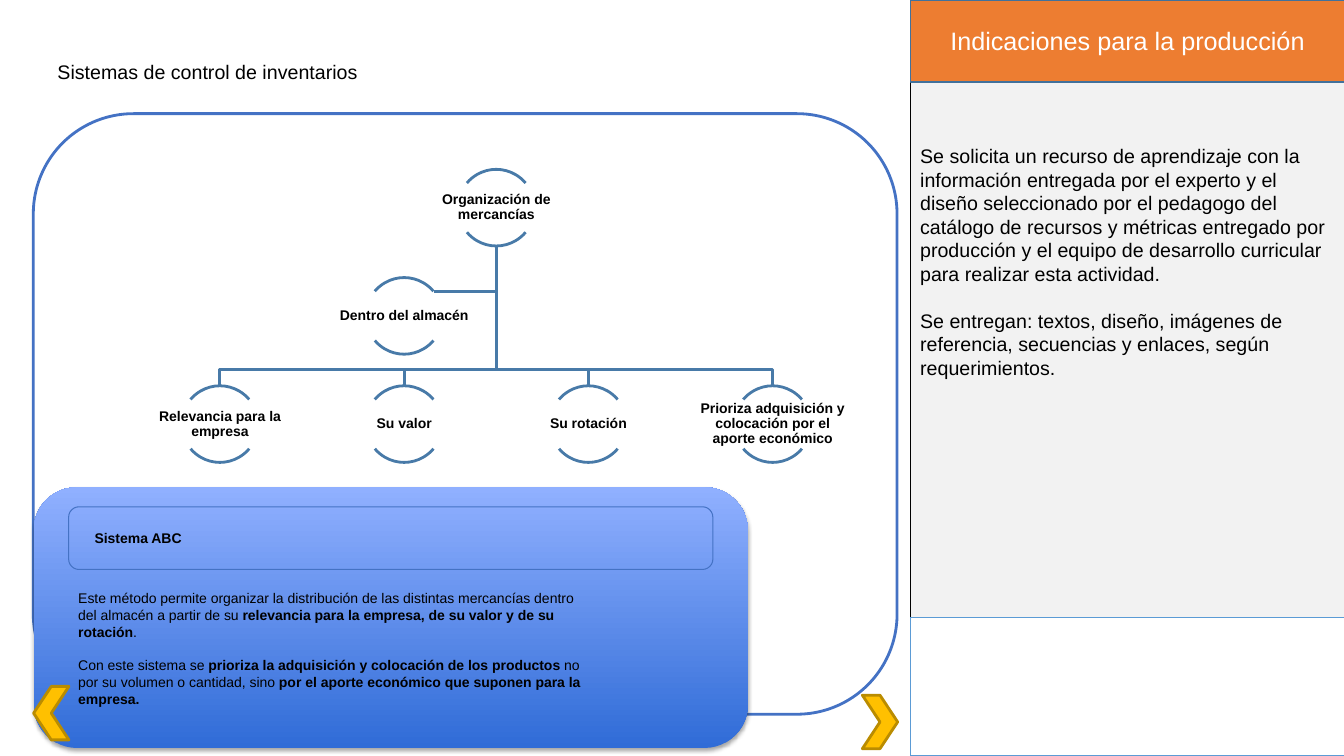
"""Builds the inventory control slide with its ABC system chart and production notes."""
from dataclasses import dataclass

from lxml import etree
from pptx import Presentation, util as u
from pptx.dml.color import RGBColor
from pptx.enum import shapes, text
from pptx.oxml.ns import qn

Pt = u.Pt
Kind = shapes.MSO_SHAPE
Align = text.PP_ALIGN
Anchor = text.MSO_ANCHOR


@dataclass(frozen=True)
class Theme:
    """Colours, font and type sizes of the slide."""
    font: str = "Arial"
    heading: int = 18
    body: int = 14
    small: int = 10
    ink: str = "000000"
    paper: str = "FFFFFF"
    panel: str = "F2F2F2"
    banner: str = "ED7D31"
    banner_edge: str = "42719B"
    footer_edge: str = "5B9BD5"
    frame: str = "4472C4"
    card_low: str = "306CD7"
    card_high: str = "90B0FF"
    arrow: str = "FFC000"
    arrow_edge: str = "BA8C00"
    tree: str = "487AA8"


class Board:
    """Holds the theme and the slide, and draws each kind of element."""

    def __init__(self, slide, theme):
        """Keep the slide and its theme."""
        self.slide, self.theme = slide, theme

    def outline(self, item, line):
        """Set the line of a shape from a colour and width, or remove it."""
        if line is None:
            item.line.fill.background()
        else:
            item.line.color.rgb = RGBColor.from_string(line[0])
            item.line.width = Pt(line[1])
        item.shadow.inherit = False

    def shape(self, kind, box, fill=None, line=None, adjust=(), turn=0):
        """Draw a preset shape."""
        item = self.slide.shapes.add_shape(kind, *map(Pt, box))
        for index, value in enumerate(adjust):
            item.adjustments[index] = value
        item.rotation = turn
        if fill is None:
            item.fill.background()
        else:
            item.fill.solid()
            item.fill.fore_color.rgb = RGBColor.from_string(fill)
        self.outline(item, line)
        return item

    def card(self, box):
        """Draw the rounded card with its gradient and soft shadow."""
        item = self.shape(Kind.ROUNDED_RECTANGLE, box)
        item.fill.gradient()
        item.fill.gradient_angle = 90
        colours = (self.theme.card_low, self.theme.card_high)
        for place, (stop, colour) in enumerate(zip(item.fill.gradient_stops, colours)):
            stop.position = place
            stop.color.rgb = RGBColor.from_string(colour)
        effects = item.element.spPr.find(qn("a:effectLst"))
        shade = etree.SubElement(effects, qn("a:outerShdw"), blurRad=str(Pt(3.1)),
                                 dist=str(Pt(1.8)), dir="5400000", rotWithShape="0")
        colour = etree.SubElement(shade, qn("a:srgbClr"), val=self.theme.ink)
        etree.SubElement(colour, qn("a:alpha"), val="35000")

    def fill_text(self, frame, paragraphs, size, colour=None, align=Align.LEFT, gap=0,
                  spacing=None):
        """Fill a text frame with paragraphs made of (words, bold) runs."""
        for index, runs in enumerate(paragraphs):
            paragraph = frame.add_paragraph() if index else frame.paragraphs[0]
            paragraph.alignment = align
            if spacing:
                paragraph.line_spacing = spacing
            if index:
                paragraph.space_before = Pt(gap)
            for words, bold in runs:
                run = paragraph.add_run()
                run.text = words
                run.font.name, run.font.size, run.font.bold = self.theme.font, Pt(size), bold
                run.font.color.rgb = RGBColor.from_string(colour or self.theme.ink)

    def text(self, box, paragraphs, size, wrap=True, anchor=Anchor.TOP, inset=None, **style):
        """Add a text box."""
        frame = self.slide.shapes.add_textbox(*map(Pt, box)).text_frame
        frame.word_wrap, frame.vertical_anchor = wrap, anchor
        if inset is not None:
            frame.margin_left = frame.margin_right = Pt(inset)
            frame.margin_top = frame.margin_bottom = Pt(inset)
        self.fill_text(frame, paragraphs, size, **style)

    def branch(self, points):
        """Draw an open line through the points."""
        start, *rest = [(Pt(x), Pt(y)) for x, y in points]
        builder = self.slide.shapes.build_freeform(*start)
        builder.add_line_segments(rest, close=False)
        item = builder.convert_to_shape()
        item.fill.background()
        self.outline(item, (self.theme.tree, 2))

    def node(self, centre, top, words):
        """Draw a tree node: two arcs around a centred label."""
        size, width, height = 54.7, 108.7, 34.6
        for angles in ((132, 192), (24, 84)):
            self.shape(Kind.ARC, (centre - size / 2, top, size, size),
                       line=(self.theme.tree, 2), adjust=angles)
        label = (centre - width / 2, top + (size - height) / 2, width, height)
        self.text(label, [[(words, True)]], self.theme.small, anchor=Anchor.MIDDLE,
                  inset=0.7, align=Align.CENTER, spacing=0.9)


def draw_notes(board):
    """Draw the production notes on the right."""
    theme = board.theme
    left, width = 650.2, 310.3
    board.shape(Kind.RECTANGLE, (left, 0, width, 540), theme.panel, (theme.ink, 1))
    board.text((left, 99.4, 311.8, 237.6), [
        [("Se solicita un recurso de aprendizaje con la información entregada por el experto "
          "y el diseño seleccionado por el pedagogo del catálogo de recursos y métricas "
          "entregado por producción y el equipo de desarrollo curricular para realizar "
          "esta actividad.", False)],
        [("Se entregan: textos, diseño, imágenes de referencia, secuencias y enlaces, "
          "según requerimientos.", False)],
    ], theme.body, gap=16.8)
    banner = board.shape(Kind.RECTANGLE, (left, 0, width, 58.5), theme.banner,
                         (theme.banner_edge, 1))
    banner.text_frame.vertical_anchor = Anchor.MIDDLE
    board.fill_text(banner.text_frame, [[("Indicaciones para la producción", False)]],
                    theme.heading, theme.paper, Align.CENTER)
    board.shape(Kind.RECTANGLE, (left, 441.2, width, 98.8), theme.paper, (theme.footer_edge, 1))


def draw_content(board):
    """Draw the frame, the ABC card, the page arrows and the title."""
    theme = board.theme
    board.shape(Kind.ROUNDED_RECTANGLE, (23.8, 81.2, 617, 429), theme.paper, (theme.frame, 2))
    board.card((24, 348, 510.3, 186.3))
    for left, top, turn in ((616, 496.6, 0), (24, 490.3, 180)):
        board.shape(Kind.CHEVRON, (left, top, 25.2, 38.2), theme.arrow,
                    (theme.arrow_edge, 2), turn=turn)
    board.shape(Kind.ROUNDED_RECTANGLE, (49, 362, 460.2, 44.8), line=(theme.frame, 0.75))
    board.text((48.8, 417.7, 376, 92), [
        [("Este método permite organizar la distribución de las distintas mercancías "
          "dentro del almacén a partir de su ", False),
         ("relevancia para la empresa, de su valor y de su rotación", True), (".", False)],
        [("Con este sistema se ", False),
         ("prioriza la adquisición y colocación de los productos ", True),
         ("no por su volumen o cantidad, sino ", False),
         ("por el aporte económico que suponen para la empresa.", True)],
    ], theme.small, gap=12)
    board.text((60.5, 375, 78, 19.4), [[("Sistema ABC", True)]], theme.small, wrap=False)
    board.text((34, 39, 230, 24.5), [[("Sistemas de control de inventarios", False)]],
               theme.body, wrap=False)


def draw_tree(board):
    """Draw the tree of goods organisation."""
    leaves = ("Relevancia para la empresa", "Su valor", "Su rotación",
              "Prioriza adquisición y colocación por el aporte económico")
    centres = [157.1 + 131.6 * column for column in range(len(leaves))]
    root = (centres[0] + centres[-1]) / 2
    root_top, helper_top, leaf_top = [121 + 77.3 * level for level in range(3)]
    trunk, bar, helper_joint = (root, 175.7), leaf_top - 11.5, helper_top + 10
    board.branch([trunk, (root, helper_joint), (centres[1] + 21, helper_joint)])
    for centre in reversed(centres):
        board.branch([trunk, (root, bar), (centre, bar), (centre, leaf_top)])
    board.node(root, root_top, "Organización de mercancías")
    for centre, words in zip(centres, leaves):
        board.node(centre, leaf_top, words)
    board.node(centres[1], helper_top, "Dentro del almacén")


def main():
    """Build and save the slide."""
    deck = Presentation()
    deck.slide_width, deck.slide_height = Pt(960), Pt(540)
    board = Board(deck.slides.add_slide(deck.slide_layouts[6]), Theme())
    draw_notes(board)
    draw_content(board)
    draw_tree(board)
    deck.save("out.pptx")


if __name__ == "__main__":
    main()
